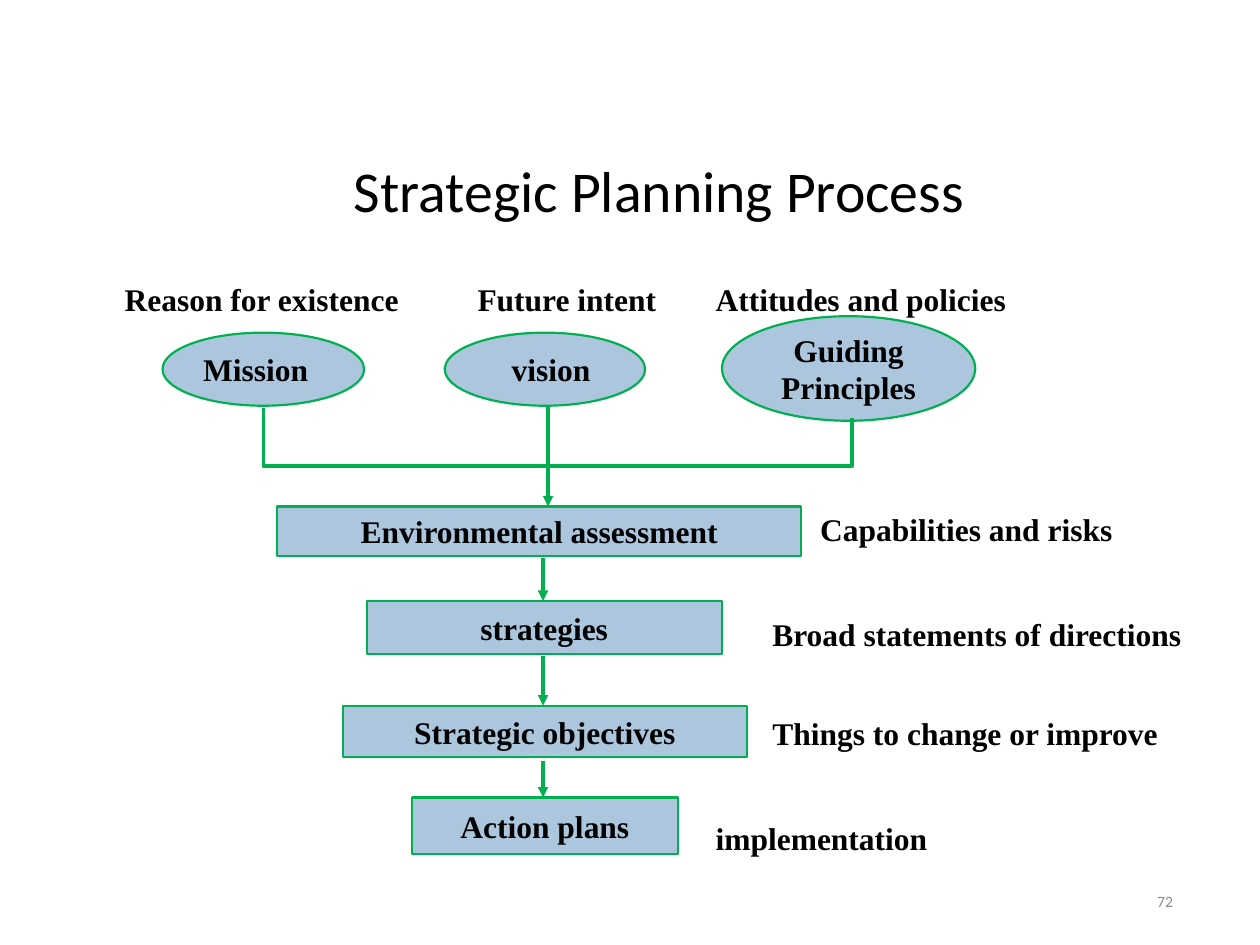
from dataclasses import dataclass

from lxml.etree import SubElement
from pptx import Presentation
from pptx.dml.color import RGBColor
from pptx.enum.shapes import MSO_CONNECTOR, MSO_SHAPE
from pptx.enum.text import MSO_ANCHOR, PP_ALIGN
from pptx.oxml.ns import qn
from pptx.util import Inches, Pt


@dataclass(frozen=True)
class Theme:
    fill: RGBColor = RGBColor(0xAC, 0xC7, 0xDD)
    line: RGBColor = RGBColor(0x00, 0xAF, 0x50)
    text: RGBColor = RGBColor(0, 0, 0)
    muted: RGBColor = RGBColor(0x8C, 0x8C, 0x8C)
    heading_font: str = "Calibri"
    body_font: str = "Times New Roman"
    title_size: float = 33
    body_size: float = 18
    number_size: float = 9
    outline: float = 1.25
    arrow: float = 2


@dataclass(frozen=True)
class Node:
    lines: tuple[str, ...]
    left: float
    top: float
    width: float
    height: float
    shift: float = 0  # sideways offset of the text
    kind: MSO_SHAPE = MSO_SHAPE.RECTANGLE


@dataclass(frozen=True)
class Label:
    text: str
    left: float
    top: float
    width: float


@dataclass(frozen=True)
class Arrow:
    x: float
    start: float
    end: float


THEME = Theme()
OVAL = MSO_SHAPE.OVAL

FOUNDATIONS = [
    Node(("Mission",), 1.29, 2.64, 1.6, 0.58, -0.06, OVAL),
    Node(("vision",), 3.53, 2.64, 1.59, 0.58, 0.05, OVAL),
    Node(("Guiding", "Principles"), 5.73, 2.51, 2.01, 0.83, 0, OVAL),
]
STEPS = [
    Node(("Environmental assessment",), 2.2, 4.02, 4.16, 0.39),
    Node(("strategies",), 2.91, 4.77, 2.82, 0.42),
    Node(("Strategic objectives",), 2.72, 5.6, 3.21, 0.41),
    Node(("Action plans",), 3.27, 6.33, 2.11, 0.45),
]
EXPLANATIONS = [
    Label("Reason for existence", 0.99, 2.22, 2.4),
    Label("Future intent", 3.79, 2.22, 1.6),
    Label("Attitudes and policies", 5.68, 2.22, 2.5),
    Label("Capabilities and risks", 6.51, 4.05, 2.5),
    Label("Broad statements of directions", 6.13, 4.88, 3.4),
    Label("Things to change or improve", 6.13, 5.67, 3.25),
    Label("implementation", 5.68, 6.5, 1.9),
]
ARROWS = [
    Arrow(4.35, 3.22, 4.02),
    Arrow(4.31, 4.43, 4.77),
    Arrow(4.31, 5.21, 5.6),
    Arrow(4.31, 6.04, 6.33),
]
BRACKET = [(2.09, 3.24), (2.09, 3.7), (6.76, 3.7), (6.76, 3.32)]


def write(shape, lines: tuple[str, ...], size: float, font: str, color: RGBColor,
          bold: bool = False, align=PP_ALIGN.LEFT, anchor=MSO_ANCHOR.TOP,
          shift: float = 0) -> None:
    frame = shape.text_frame
    frame.word_wrap = True
    frame.vertical_anchor = anchor
    frame.margin_top = frame.margin_bottom = 0
    frame.margin_left = Inches(max(2 * shift, 0))
    frame.margin_right = Inches(max(-2 * shift, 0))
    for index, line in enumerate(lines):
        paragraph = frame.add_paragraph() if index else frame.paragraphs[0]
        paragraph.alignment = align
        run = paragraph.add_run()
        run.text = line
        run.font.size = Pt(size)
        run.font.name = font
        run.font.bold = bold
        run.font.color.rgb = color


def add_text_box(slide, left: float, top: float, width: float, height: float):
    return slide.shapes.add_textbox(
        Inches(left), Inches(top), Inches(width), Inches(height))


def draw_node(slide, node: Node) -> None:
    shape = slide.shapes.add_shape(
        node.kind, Inches(node.left), Inches(node.top),
        Inches(node.width), Inches(node.height))
    shape.shadow.inherit = False
    shape.fill.solid()
    shape.fill.fore_color.rgb = THEME.fill
    shape.line.color.rgb = THEME.line
    shape.line.width = Pt(THEME.outline)
    write(shape, node.lines, THEME.body_size, THEME.body_font, THEME.text,
          True, PP_ALIGN.CENTER, MSO_ANCHOR.MIDDLE, node.shift)


def draw_label(slide, label: Label) -> None:
    box = add_text_box(slide, label.left, label.top, label.width, 0.32)
    write(box, (label.text,), THEME.body_size, THEME.body_font, THEME.text, True)


def draw_arrow(slide, arrow: Arrow) -> None:
    connector = slide.shapes.add_connector(
        MSO_CONNECTOR.STRAIGHT, Inches(arrow.x), Inches(arrow.start),
        Inches(arrow.x), Inches(arrow.end))
    connector.line.color.rgb = THEME.line
    connector.line.width = Pt(THEME.arrow)
    properties = connector._element.spPr
    SubElement(properties.find(qn("a:ln")), qn("a:tailEnd"), type="triangle")
    SubElement(properties, qn("a:effectLst"))


def draw_bracket(slide, points: list[tuple[float, float]]) -> None:
    corners = [(Inches(x), Inches(y)) for x, y in points]
    builder = slide.shapes.build_freeform(*corners[0])
    builder.add_line_segments(corners[1:], close=False)
    bracket = builder.convert_to_shape()
    bracket.shadow.inherit = False
    bracket.fill.background()
    bracket.line.color.rgb = THEME.line
    bracket.line.width = Pt(THEME.arrow)


def main() -> None:
    deck = Presentation()
    deck.slide_width, deck.slide_height = Inches(10), Inches(7.5)
    slide = deck.slides.add_slide(deck.slide_layouts[6])

    # Title and page number
    title = add_text_box(slide, 2.81, 1.22, 5.3, 0.56)
    write(title, ("Strategic Planning Process",), THEME.title_size,
          THEME.heading_font, THEME.text, anchor=MSO_ANCHOR.MIDDLE)
    page_number = add_text_box(slide, 7.06, 6.95, 2.25, 0.4)
    write(page_number, ("72",), THEME.number_size, THEME.heading_font,
          THEME.muted, align=PP_ALIGN.RIGHT, anchor=MSO_ANCHOR.MIDDLE)

    # Foundations and the steps that follow from them
    for node in FOUNDATIONS + STEPS:
        draw_node(slide, node)

    # Links between the parts
    draw_bracket(slide, BRACKET)
    for arrow in ARROWS:
        draw_arrow(slide, arrow)

    # Explanations beside the parts
    for label in EXPLANATIONS:
        draw_label(slide, label)

    deck.save("out.pptx")


if __name__ == "__main__":
    main()
